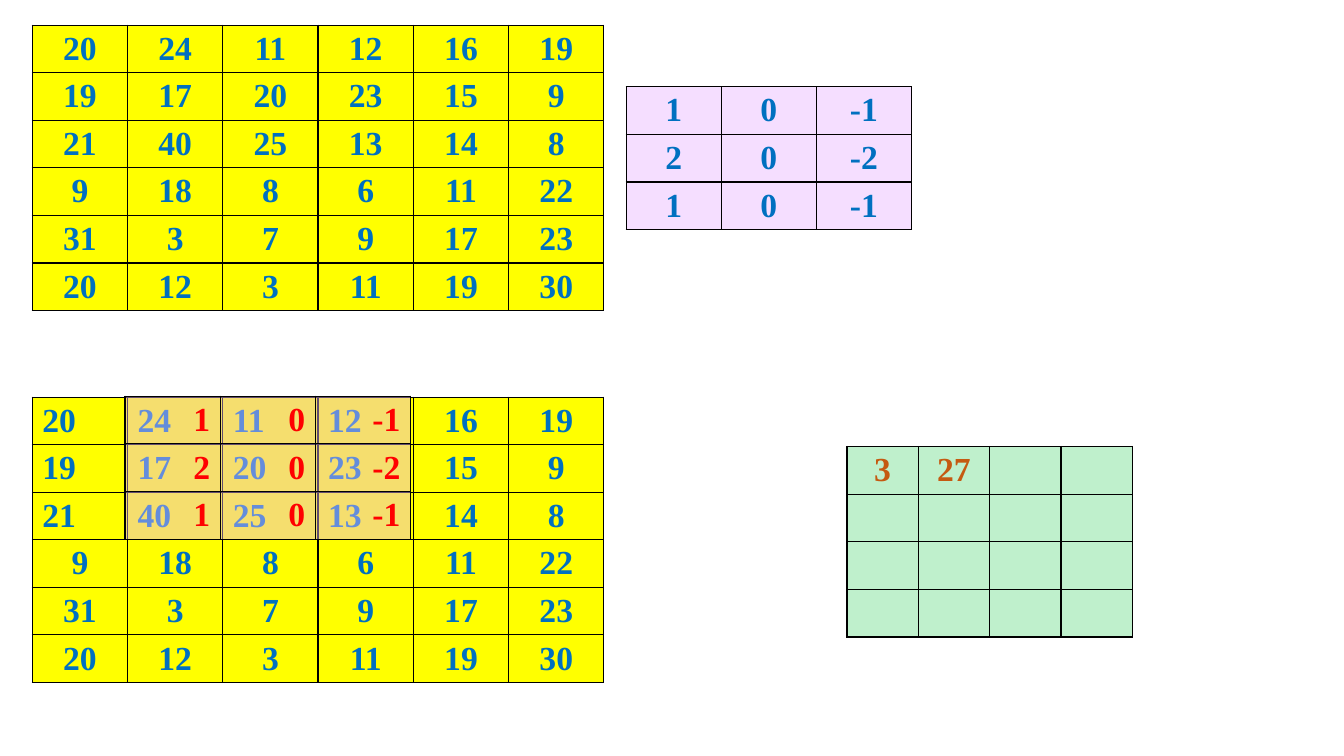
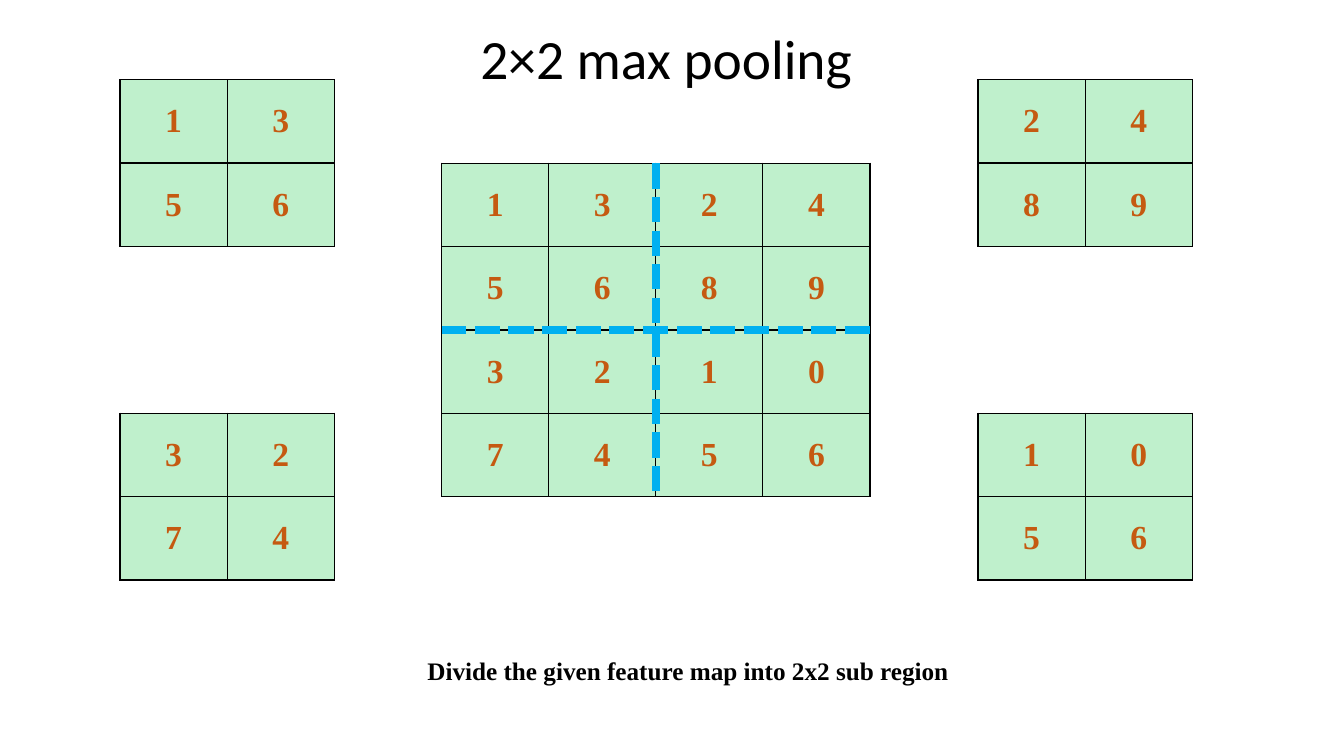
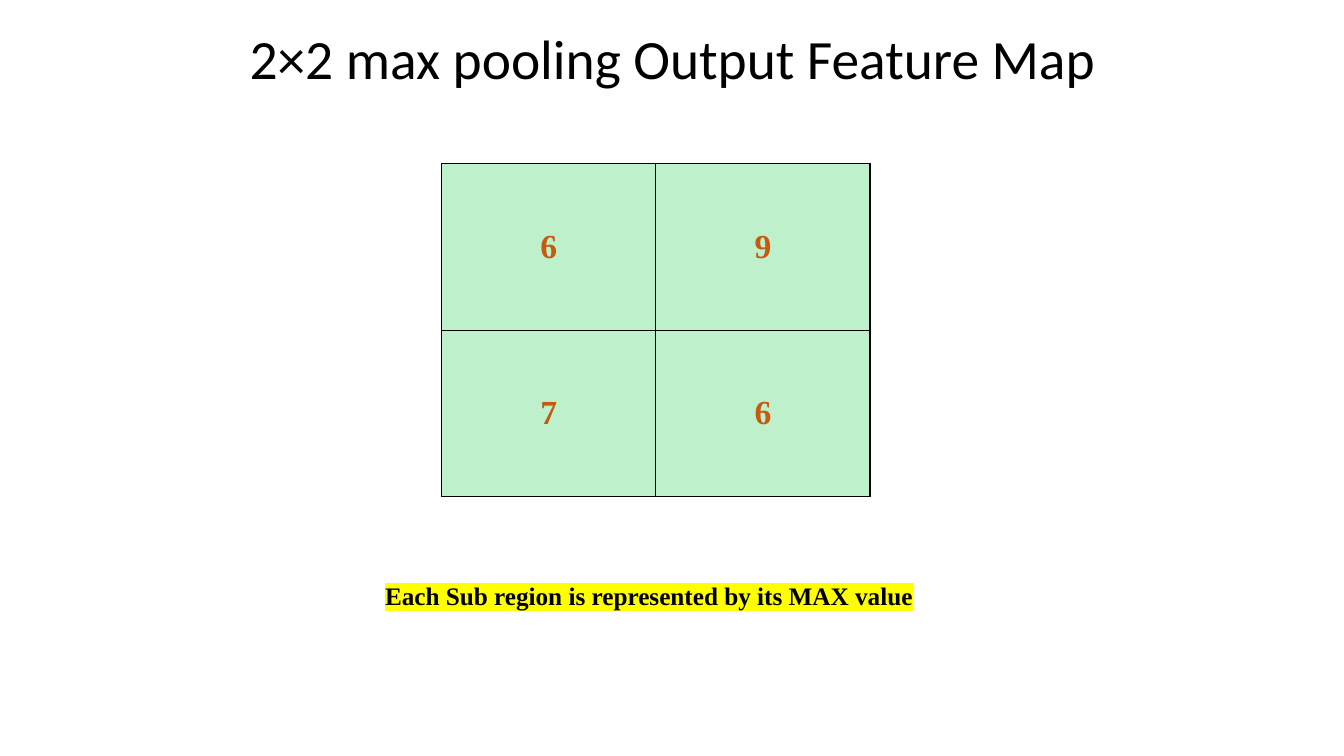
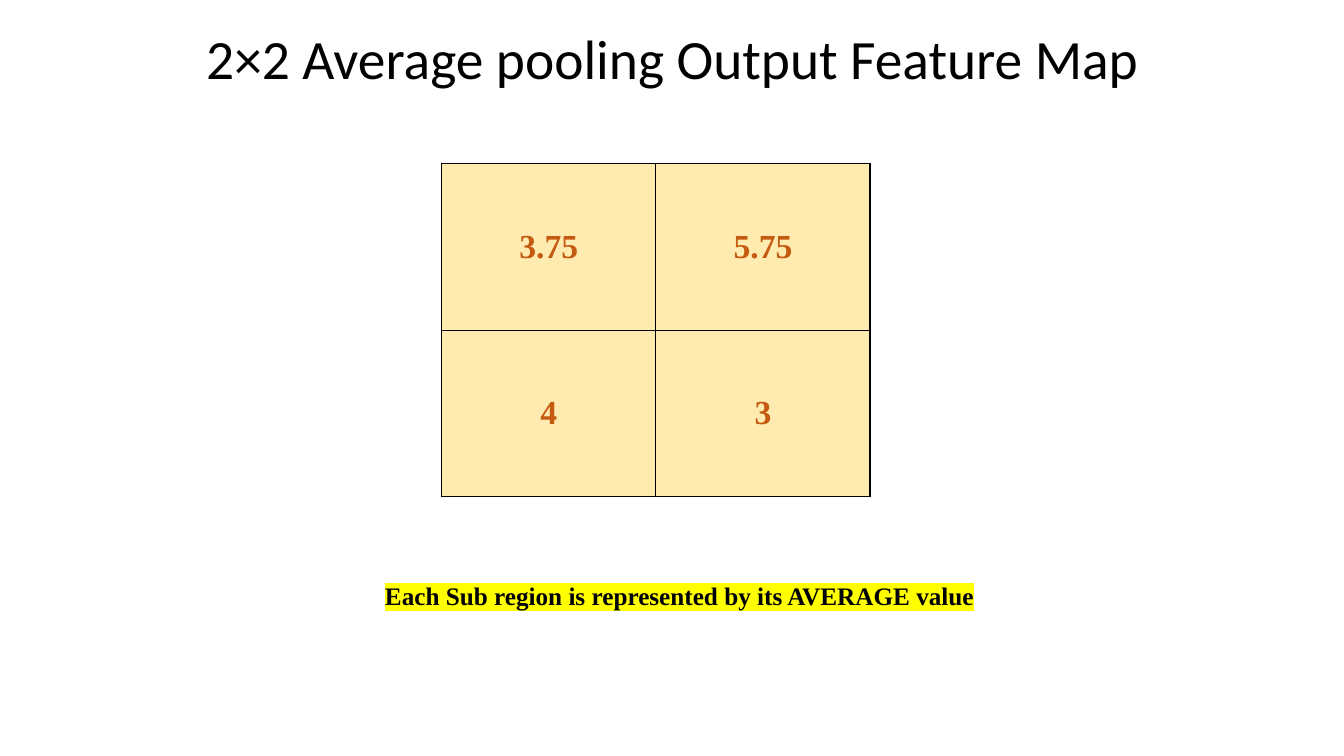
import copy
import lxml.etree
import pptx
import pptx.dml.color
import pptx.enum.dml
import pptx.enum.shapes
import pptx.enum.text
import pptx.oxml.ns
import pptx.util

EMU_PER_PX = 9144
SLIDE_SIZE = (1333, 750)

IMAGE = [
    [20, 24, 11, 12, 16, 19],
    [19, 17, 20, 23, 15, 9],
    [21, 40, 25, 13, 14, 8],
    [9, 18, 8, 6, 11, 22],
    [31, 3, 7, 9, 17, 23],
    [20, 12, 3, 11, 19, 30],
]
KERNEL = [[1, 0, -1], [2, 0, -2], [1, 0, -1]]
CONVOLVED = [[3, 27, "", ""]] + [[""] * 4] * 3
FEATURE_MAP = [[1, 3, 2, 4], [5, 6, 8, 9], [3, 2, 1, 0], [7, 4, 5, 6]]

IMAGE_SIZE = (567, 283)
KERNEL_SIZE = (283, 142)
CONVOLVED_SIZE = (283, 189)
FEATURE_MAP_BOX = (438, 162, 425, 331)
REGION_LEFTS = (119, 970)
REGION_TOPS = (79, 410)

DIVIDE_CAPTION = ("Divide the given feature map into 2x2 sub region", (414, 645, 555, 40), False)
OUTPUT_SLIDES = [
    ("2×2 max pooling Output Feature Map", max, "green",
     ("Each Sub region is represented by its MAX value", (372, 571, 589, 40), True)),
    ("2×2 Average pooling Output Feature Map", lambda values: sum(values) / len(values), "amber",
     ("Each Sub region is represented by its AVERAGE value", (372, 571, 630, 40), True)),
]

ALIGN = pptx.enum.text.PP_ALIGN
THEME = {
    "colors": {
        "black": "000000", "yellow": "FFFF00", "blue": "0070C0", "red": "FF0000",
        "orange": "C55A11", "divider": "00B0F0",
        "purple": "E8B4FF", "green": "6BDE8A", "amber": "FFD248",
    },
    "tint_alpha": {"purple": 43, "green": 43, "amber": 43},
    "title": {"font": "Calibri", "size": 39.6, "bold": False},
    "cell": {"font": "Times New Roman", "size": 24, "bold": True},
    "caption": {"font": "Times New Roman", "size": 18, "bold": True},
    "title_box": (92, 40, 1150, 43),
    "title_spacing": 0.9,
    "border_width": 1,
    "divider_width": 6,
}


def px(value):
    return pptx.util.Emu(round(value * EMU_PER_PX))


def rgb(name):
    return pptx.dml.color.RGBColor.from_string(THEME["colors"][name])


def add_element(parent, tag, **attributes):
    return lxml.etree.SubElement(parent, pptx.oxml.ns.qn(tag), attributes)


def write(paragraph, text, style, color, align):
    paragraph.alignment = align
    run = paragraph.add_run()
    run.text = text
    run.font.name = THEME[style]["font"]
    run.font.size = pptx.util.Pt(THEME[style]["size"])
    run.font.bold = THEME[style]["bold"]
    run.font.color.rgb = rgb(color)
    return run


def add_cell_borders(properties):
    width = str(pptx.util.Pt(THEME["border_width"]))
    for side in ("a:lnL", "a:lnR", "a:lnT", "a:lnB"):
        line = add_element(properties, side, w=width)
        solid = add_element(line, "a:solidFill")
        add_element(solid, "a:srgbClr", val=THEME["colors"]["black"])


def fill_cell(cell, fill):
    properties = cell._tc.get_or_add_tcPr()
    add_cell_borders(properties)
    cell.fill.solid()
    cell.fill.fore_color.rgb = rgb(fill)
    if fill in THEME["tint_alpha"]:
        color = properties.find(pptx.oxml.ns.qn("a:solidFill"))[0]
        add_element(color, "a:alpha", val=str(THEME["tint_alpha"][fill] * 1000))


def add_grid(slide, box, values, fill, color, align=ALIGN.CENTER, left_block=(0, 0)):
    row_count, column_count = len(values), len(values[0])
    left, top, width, height = box
    table = slide.shapes.add_table(
        row_count, column_count, px(left), px(top), px(width), px(height)).table
    table.first_row = False
    table.horz_banding = False
    for column in table.columns:
        column.width = px(width / column_count)
    for row in table.rows:
        row.height = px(height / row_count)
    for row_index, row_values in enumerate(values):
        for column_index, value in enumerate(row_values):
            cell = table.cell(row_index, column_index)
            fill_cell(cell, fill)
            cell.vertical_anchor = pptx.enum.text.MSO_ANCHOR.MIDDLE
            if value != "":
                in_block = row_index < left_block[0] and column_index < left_block[1]
                write(cell.text_frame.paragraphs[0], str(value), "cell", color,
                      ALIGN.LEFT if in_block else align)


def add_text_box(slide, box):
    frame = slide.shapes.add_textbox(*map(px, box)).text_frame
    frame.word_wrap = True
    return frame


def add_title(slide, text):
    frame = add_text_box(slide, THEME["title_box"])
    frame.vertical_anchor = pptx.enum.text.MSO_ANCHOR.MIDDLE
    paragraph = frame.paragraphs[0]
    paragraph.line_spacing = THEME["title_spacing"]
    write(paragraph, text, "title", "black", ALIGN.CENTER)


def add_caption(slide, text, box, highlighted):
    frame = add_text_box(slide, box)
    frame.auto_size = pptx.enum.text.MSO_AUTO_SIZE.SHAPE_TO_FIT_TEXT
    run = write(frame.paragraphs[0], text, "caption", "black", ALIGN.LEFT)
    if highlighted:
        properties = run._r.get_or_add_rPr()
        highlight = add_element(properties, "a:highlight")
        add_element(highlight, "a:srgbClr", val=THEME["colors"]["yellow"])
        properties.find(pptx.oxml.ns.qn("a:solidFill")).addnext(highlight)


def add_divider(slide, *ends):
    connector = slide.shapes.add_connector(
        pptx.enum.shapes.MSO_CONNECTOR.STRAIGHT, *map(px, ends))
    connector.line.color.rgb = rgb("divider")
    connector.line.width = pptx.util.Pt(THEME["divider_width"])
    connector.line.dash_style = pptx.enum.dml.MSO_LINE.SQUARE_DOT
    add_element(connector._element.spPr, "a:effectLst")


def region(row, column):
    return [values[2 * column:2 * column + 2] for values in FEATURE_MAP[2 * row:2 * row + 2]]


def build_convolution(slide):
    add_grid(slide, (32, 25, *IMAGE_SIZE), IMAGE, "yellow", "blue")
    add_grid(slide, (621, 86, *KERNEL_SIZE), KERNEL, "purple", "blue")
    add_grid(slide, (32, 394, *IMAGE_SIZE), IMAGE, "yellow", "blue", left_block=(3, 4))
    add_grid(slide, (124, 393, *KERNEL_SIZE), KERNEL, "purple", "red", align=ALIGN.RIGHT)
    add_grid(slide, (840, 443, *CONVOLVED_SIZE), CONVOLVED, "green", "orange")


def build_regions(slide):
    add_title(slide, "2×2 max pooling ")
    add_grid(slide, FEATURE_MAP_BOX, FEATURE_MAP, "green", "orange")
    left, top, width, height = FEATURE_MAP_BOX
    middle_x, middle_y = left + width / 2, top + height / 2
    add_divider(slide, middle_x, top, middle_x, top + height)
    add_divider(slide, left + width, middle_y, left, middle_y)
    for row, region_top in enumerate(REGION_TOPS):
        for column, region_left in enumerate(REGION_LEFTS):
            add_grid(slide, (region_left, region_top, width / 2, height / 2),
                     region(row, column), "green", "orange")
    add_caption(slide, *DIVIDE_CAPTION)


def build_output(slide, title, pool, fill, caption):
    add_title(slide, title)
    pooled = [[f"{pool(sum(region(row, column), [])):g}" for column in range(2)]
              for row in range(2)]
    add_grid(slide, FEATURE_MAP_BOX, pooled, fill, "orange")
    add_caption(slide, *caption)


def main():
    presentation = pptx.Presentation()
    presentation.slide_width, presentation.slide_height = map(px, SLIDE_SIZE)
    blank = presentation.slide_layouts[6]
    build_convolution(presentation.slides.add_slide(blank))
    build_regions(presentation.slides.add_slide(blank))
    for output in OUTPUT_SLIDES:
        build_output(presentation.slides.add_slide(blank), *output)
    presentation.save("out.pptx")


if __name__ == "__main__":
    main()
